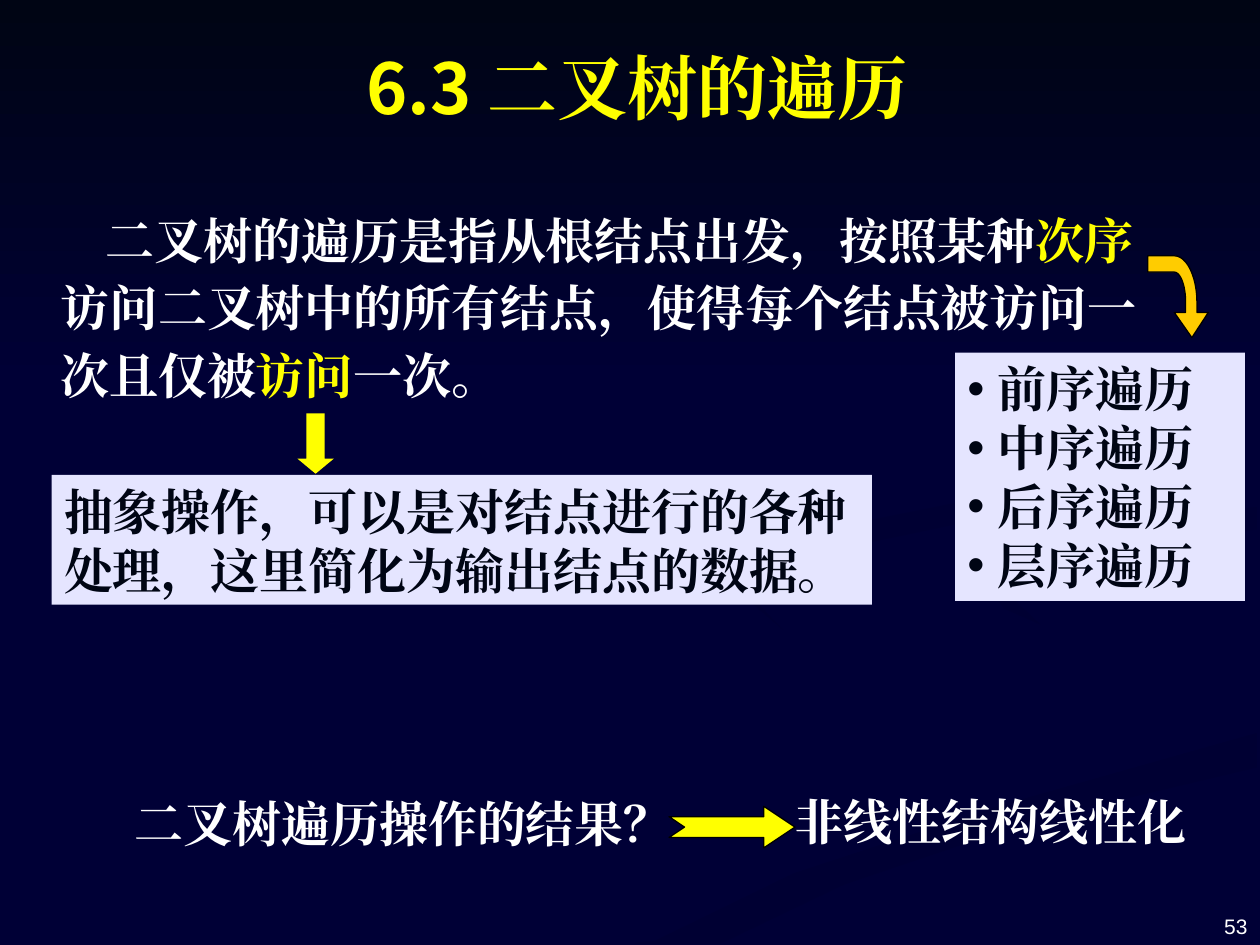
from math import cos, sin, pi
from pptx import Presentation
from pptx.dml.color import RGBColor as RGB
from pptx.enum.shapes import MSO_SHAPE as Kind
from pptx.enum.text import MSO_ANCHOR as Anchor, PP_ALIGN as Align
from pptx.oxml.ns import qn
from pptx.util import Inches, Pt
from lxml.etree import SubElement as Sub

THEME = {
    "back": "000036", "top": "000514", "dim": "000033", "white": "FFFFFF", "key": "FFFF00",
    "panel": "E5E5FF", "ink": "000514", "gold": "FFCC00", "edge": "000000",
    "title": 40, "body": 28, "page": 12,
    "serif": "Times New Roman", "sans": "Noto Sans CJK SC", "num": "Arial",
}

# Content: each paragraph is a list of (text, colour) runs
TITLE = [[("6.3 ", "key"), ("二叉树的遍历", "key")]]
BODY = [[("二叉树的遍历是指从根结点出发，按照某种", "white"), ("次序", "key"),
         ("访问二叉树中的所有结点，使得每个结点被访问一次且仅被", "white"),
         ("访问", "key"), ("一次。", "white")]]
ASK = [[("二叉树遍历操作的结果？", "white")]]
REPLY = [[("非线性结构线性化", "white")]]
NOTE = [[("抽象操作，可以是对结点进行的各种处理，这里简化为输出结点的数据。", "ink")]]
ORDERS = [[(name + "遍历", "ink")] for name in ("前序", "中序", "后序", "层序")]
PAGE = [[("53", "white")]]

# Places: left, top, width, height in percent of the slide
SPOTS = {
    "page": (76.7, 93.07, 23.3, 6.93), "title": (10.6, 5.87, 79.9, 8.4),
    "body": (3.8, 20.67, 88.5, 22.8), "ask": (9.7, 83.33, 50, 7.6),
    "reply": (63.1, 83.07, 36.7, 7.6), "note": (4.1, 50.27, 65.1, 13.73),
    "orders": (75.8, 37.33, 23, 26.27),
    "right": (53.1, 85.33, 10, 4.4), "down": (23.6, 43.73, 2.9, 6.4),
}

# Backdrop ribbons: first colour, second colour, angle, outline in percent
RIBBONS = [
    ("back", "dim", 0, [
        (57.5, 61.2), (58.3, 63.6), (61.4, 66.9), (68.2, 69.2), (74.5, 71.7), (78.1, 73.7),
        (80, 77.5), (78, 80.7), (72.1, 83.1), (62.3, 86.3), (53.2, 89.9), (43.1, 95.2),
        (36.1, 99.9), (30, 99.9), (37.6, 94.3), (49.9, 88.1), (65.2, 82.7), (74.9, 79.2),
        (78.5, 75.9), (77.6, 73.7), (71.4, 70.7), (63.1, 67.3), (57.6, 63.5)]),
    ("back", "dim", 315, [
        (94.3, 76), (91.9, 73.7), (85, 70.7), (77.4, 67.9), (72.4, 61.9), (75.5, 67.3),
        (83.8, 71.5), (91.1, 75.6), (91.1, 79.1), (89.4, 80.7), (93.7, 78.1)]),
    ("dim", "back", 270, [
        (50.3, 99.9), (57.1, 99.9), (67, 93.6), (82.1, 86.8), (99.8, 81.2), (99.8, 77.5),
        (79.7, 85.1), (63, 92.4)]),
    ("back", "back", 0, [
        (72.5, 61.9), (75.9, 66.4), (85.1, 69.9), (93.1, 73.7), (93.6, 78.3), (89.2, 80.7),
        (78, 84.5), (66.3, 89.1), (47.7, 99.9), (51.9, 99.6), (63, 92.4), (79.7, 85.1),
        (99.9, 77.5), (99.9, 71.7), (90.4, 69.2), (80.4, 64.7), (78.1, 61.7), (82.2, 57.9),
        (93.3, 55.3), (99.9, 53.6), (99.9, 51.6), (92, 53.5), (77, 56.9), (73, 59.9)]),
    ("dim", "back", 315, [
        (78.1, 61.3), (79.7, 64.4), (82.6, 66.1), (80.5, 63.5), (81.6, 61.2), (87.8, 58.5),
        (99.8, 56), (99.8, 53.6), (86.5, 56.5), (79.9, 58.9)]),
    ("dim", "back", 315, [
        (76.2, 31.1), (84.6, 37.2), (88.9, 44.7), (86.1, 49.3), (76.3, 53.1), (62.5, 56.8),
        (57.7, 61.6), (62.2, 66.7), (59.3, 62.7), (62.4, 59.2), (71.2, 56.8), (82.5, 53.6),
        (88.3, 49.3), (89.3, 44.7), (86.4, 39.9)]),
    ("top", "back", 270, [(0, 0), (0, 41.07), (100, 41.07), (100, 0)]),
]

deck = Presentation()
deck.slide_width, deck.slide_height = Inches(10), Inches(7.5)
slide = deck.slides.add_slide(deck.slide_layouts[6])
shapes = slide.shapes


def hue(name):
    return RGB.from_string(THEME[name])


def place(spot):
    wide, high = deck.slide_width, deck.slide_height
    return [int(v * side / 100) for v, side in zip(SPOTS[spot], (wide, high, wide, high))]


def paint(shape, fill, line=None):
    shape.shadow.inherit = False
    shape.fill.solid()
    shape.fill.fore_color.rgb = hue(fill)
    if line:
        shape.line.color.rgb = hue(line)
        shape.line.width = Pt(0.75)
    else:
        shape.line.fill.background()
    return shape


def outline(points):
    spots = [(int(x * deck.slide_width / 100), int(y * deck.slide_height / 100))
             for x, y in points]
    pen = shapes.build_freeform(*spots[0], scale=1.0)
    pen.add_line_segments(spots[1:], close=True)
    return pen.convert_to_shape()


def write(shape, paras, size="body", fonts=("serif",), bold=True, align=Align.LEFT,
          anchor=Anchor.TOP):
    frame = shape.text_frame
    frame.word_wrap = True
    frame.vertical_anchor = anchor
    for i, runs in enumerate(paras):
        para = frame.add_paragraph() if i else frame.paragraphs[0]
        para.alignment = align
        for j, (text, color) in enumerate(runs):
            run = para.add_run()
            run.text = text
            font = run.font
            font.size, font.bold = Pt(THEME[size]), bold
            font.color.rgb = hue(color)
            font.name = THEME[fonts[min(j, len(fonts) - 1)]]
            Sub(font._element, qn("a:ea")).set("typeface", font.name)
    return frame


def label(spot, paras, **style):
    return write(shapes.add_textbox(*place(spot)), paras, **style)


def panel(spot, paras):
    return write(paint(shapes.add_shape(Kind.RECTANGLE, *place(spot)), "panel"), paras)


def arrow(kind, spot, adjust, line=None):
    shape = paint(shapes.add_shape(kind, *place(spot)), "key", line)
    for i, value in enumerate(adjust):
        shape.adjustments[i] = value


def arc(wide, high, steps=12):
    """Quarter ellipse of the bent arrow, from its top to its right end."""
    turns = [pi / 2 * i / steps for i in range(steps + 1)]
    return [(93.2 + wide * sin(t), 32 - high * cos(t)) for t in turns]


# Backdrop
slide.background.fill.solid()
slide.background.fill.fore_color.rgb = hue("back")
for first, last, angle, points in RIBBONS:
    ribbon = paint(outline(points), first)
    ribbon.fill.gradient()
    ribbon.fill.gradient_angle = angle
    for stop, color, at in zip(ribbon.fill.gradient_stops, (first, last), (0, 1)):
        stop.color.rgb, stop.position = hue(color), at

# Page number, title and definition
label("page", PAGE, size="page", fonts=("num",), bold=False, align=Align.RIGHT,
      anchor=Anchor.BOTTOM)
label("title", TITLE, size="title", fonts=("sans", "serif"), align=Align.CENTER,
      anchor=Anchor.BOTTOM)
body = label("body", BODY).paragraphs[0]
body.line_spacing = 1.15
body._p.get_or_add_pPr().set("indent", str(Inches(0.36)))

# Question and its answer
label("ask", ASK)
arrow(Kind.NOTCHED_RIGHT_ARROW, "right", (0.5, 0.75), "edge")
label("reply", REPLY).margin_left = 0

# Meaning of a visit
panel("note", NOTE)
arrow(Kind.DOWN_ARROW, "down", (0.5, 0.415))

# Visiting orders
for para in panel("orders", ORDERS).paragraphs:
    props = para._p.get_or_add_pPr()
    props.set("marL", str(Inches(0.24)))
    props.set("indent", str(-Inches(0.24)))
    Sub(props, qn("a:buFont")).set("typeface", THEME["num"])
    Sub(props, qn("a:buChar")).set("char", "•")

# Bent arrow from the word to the orders
head = [(95, 33.07), (95.9, 33.07), (94.6, 35.73), (93.2, 33.07), (94.1, 33.07)]
bend = [(91.1, 27.07)] + arc(1.8, 4.93) + head + arc(0.9, 3.2)[::-1] + [(91.1, 28.8)]
paint(outline(bend), "gold", "edge")

deck.save("out.pptx")
